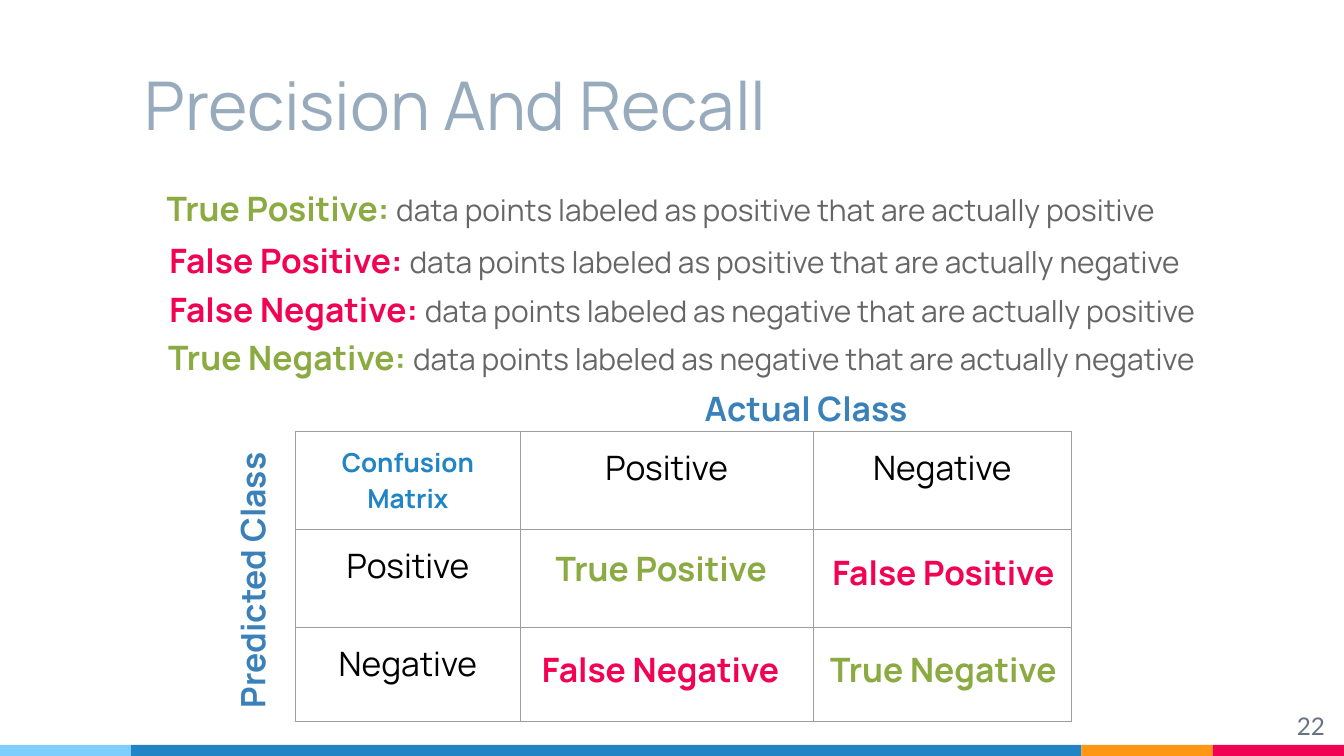
from lxml.etree import SubElement
from pptx import Presentation
from pptx.dml.color import RGBColor
from pptx.enum.shapes import MSO_SHAPE as Shape
from pptx.enum.text import MSO_ANCHOR as Anchor, MSO_AUTO_SIZE as AutoSize, PP_ALIGN as Align
from pptx.oxml import parse_xml
from pptx.oxml.ns import nsdecls, qn
from pptx.util import Cm, Pt

WIDTH, HEIGHT = 25.4, 14.29
FONT = "Manrope"
GREEN, RED, BLUE, GREY = "8BAB42", "F20253", "3A81BA", "666666"
INSET = 0.25

STRIPES = [("7ECEFD", 2.48), ("2185C5", 17.96), ("FF9715", 2.48), ("F20253", 2.48)]
STRIPE_HEIGHT = 0.21

DEFINITIONS = [
    ("True Positive: ", "data points labeled as positive that are actually positive", GREEN, 2.9, 3.3),
    ("False Positive: ", "data points labeled as positive that are actually negative", RED, 2.95, 4.29),
    ("False Negative: ", "data points labeled as negative that are actually positive", RED, 2.95, 5.21),
    ("True Negative: ", "data points labeled as negative that are actually negative", GREEN, 2.93, 6.12),
]

MATRIX = [
    ["Confusion\nMatrix", "Positive", "Negative"],
    ["Positive", "", ""],
    ["Negative", "", ""],
]
MATRIX_LEFT, MATRIX_TOP = 5.59, 8.15
COLUMN_WIDTHS = [4.24, 5.54, 4.88]
ROW_HEIGHTS = [1.85, 1.85, 1.78]

LABELS = [
    ("Actual Class", BLUE, 10.03, 7.09, 10.41, 0),
    ("Predicted Class", BLUE, 1.27, 10.26, 7.14, 270),
    ("True Positive", GREEN, 10.01, 10.11, 4.98, 0),
    ("False Positive", RED, 15.34, 10.19, 4.98, 0),
    ("False Negative", RED, 9.83, 12.01, 5.31, 0),
    ("True Negative", GREEN, 15.34, 12.01, 4.98, 0),
]


def rgb(code):
    return RGBColor.from_string(code)


def style(run, size, color, bold=False, font=FONT):
    run.font.name = font
    run.font.size = Pt(size)
    run.font.bold = bold
    run.font.color.rgb = rgb(color)


def set_insets(frame):
    frame.word_wrap = True
    frame.margin_left = frame.margin_right = Cm(INSET)
    frame.margin_top = frame.margin_bottom = Cm(INSET)


def add_text(slide, left, top, width, height, parts, align=Align.LEFT, anchor=Anchor.TOP):
    box = slide.shapes.add_textbox(Cm(left), Cm(top), Cm(width), Cm(height))
    set_insets(box.text_frame)
    box.text_frame.vertical_anchor = anchor
    paragraph = box.text_frame.paragraphs[0]
    paragraph.alignment = align
    for words, *look in parts:
        run = paragraph.add_run()
        run.text = words
        style(run, *look)
    return box


def set_borders(cell, color, points):
    properties = cell._tc.get_or_add_tcPr()
    for position, side in enumerate(("lnL", "lnR", "lnT", "lnB")):
        border = parse_xml(f'<a:{side} {nsdecls("a")} w="{Pt(points)}"/>')
        fill = SubElement(border, qn("a:solidFill"))
        SubElement(fill, qn("a:srgbClr"), val=color)
        properties.insert(position, border)


def add_stripes(slide):
    left = 0
    for color, width in STRIPES:
        stripe = slide.shapes.add_shape(
            Shape.RECTANGLE, Cm(left), Cm(HEIGHT - STRIPE_HEIGHT), Cm(width), Cm(STRIPE_HEIGHT))
        stripe.shadow.inherit = False
        stripe.fill.solid()
        stripe.fill.fore_color.rgb = rgb(color)
        stripe.line.fill.background()
        left += width


def set_title(slide):
    title = slide.shapes.title
    title.left, title.top, title.width, title.height = Cm(2.48), Cm(0.58), Cm(17.96), Cm(2.39)
    frame = title.text_frame
    frame.text = "Precision And Recall"
    set_insets(frame)
    frame.auto_size = AutoSize.NONE
    frame.vertical_anchor = Anchor.BOTTOM
    frame.paragraphs[0].alignment = Align.LEFT
    style(frame.paragraphs[0].runs[0], 36, "97ABBC")


def add_matrix(slide):
    frame = slide.shapes.add_table(
        len(MATRIX), len(COLUMN_WIDTHS), Cm(MATRIX_LEFT), Cm(MATRIX_TOP),
        Cm(sum(COLUMN_WIDTHS)), Cm(sum(ROW_HEIGHTS)))
    matrix = frame.table
    matrix.first_row = matrix.horz_banding = False
    for column, width in zip(matrix.columns, COLUMN_WIDTHS):
        column.width = Cm(width)
    for r, (row, height) in enumerate(zip(MATRIX, ROW_HEIGHTS)):
        matrix.rows[r].height = Cm(height)
        for c, words in enumerate(row):
            cell = matrix.cell(r, c)
            cell.text_frame.text = words
            cell.margin_left = cell.margin_right = Cm(INSET)
            cell.margin_top = cell.margin_bottom = Cm(INSET)
            cell.fill.background()
            set_borders(cell, "9E9E9E", 0.75)
            look = (14, "2185C5", True) if r == c == 0 else (18, "000000")
            for paragraph in cell.text_frame.paragraphs:
                paragraph.alignment = Align.CENTER
                for run in paragraph.runs:
                    style(run, *look)


def main():
    deck = Presentation()
    deck.slide_width, deck.slide_height = Cm(WIDTH), Cm(HEIGHT)
    slide = deck.slides.add_slide(deck.slide_layouts[5])
    add_stripes(slide)
    set_title(slide)
    add_matrix(slide)
    for term, meaning, color, left, top in DEFINITIONS:
        add_text(slide, left, top, 21.79, 1.09,
                 [(term, 18, color, True), (meaning, 16, GREY)])
    for words, color, left, top, width, rotation in LABELS:
        label = add_text(slide, left, top, width, 1.42, [(words, 18, color, True)], Align.CENTER)
        label.rotation = rotation
    add_text(slide, 23.77, 13.18, 1.52, 1.09, [("22", 13, "677480", False, "Lato")],
             Align.RIGHT, Anchor.MIDDLE)
    deck.save("out.pptx")


if __name__ == "__main__":
    main()
